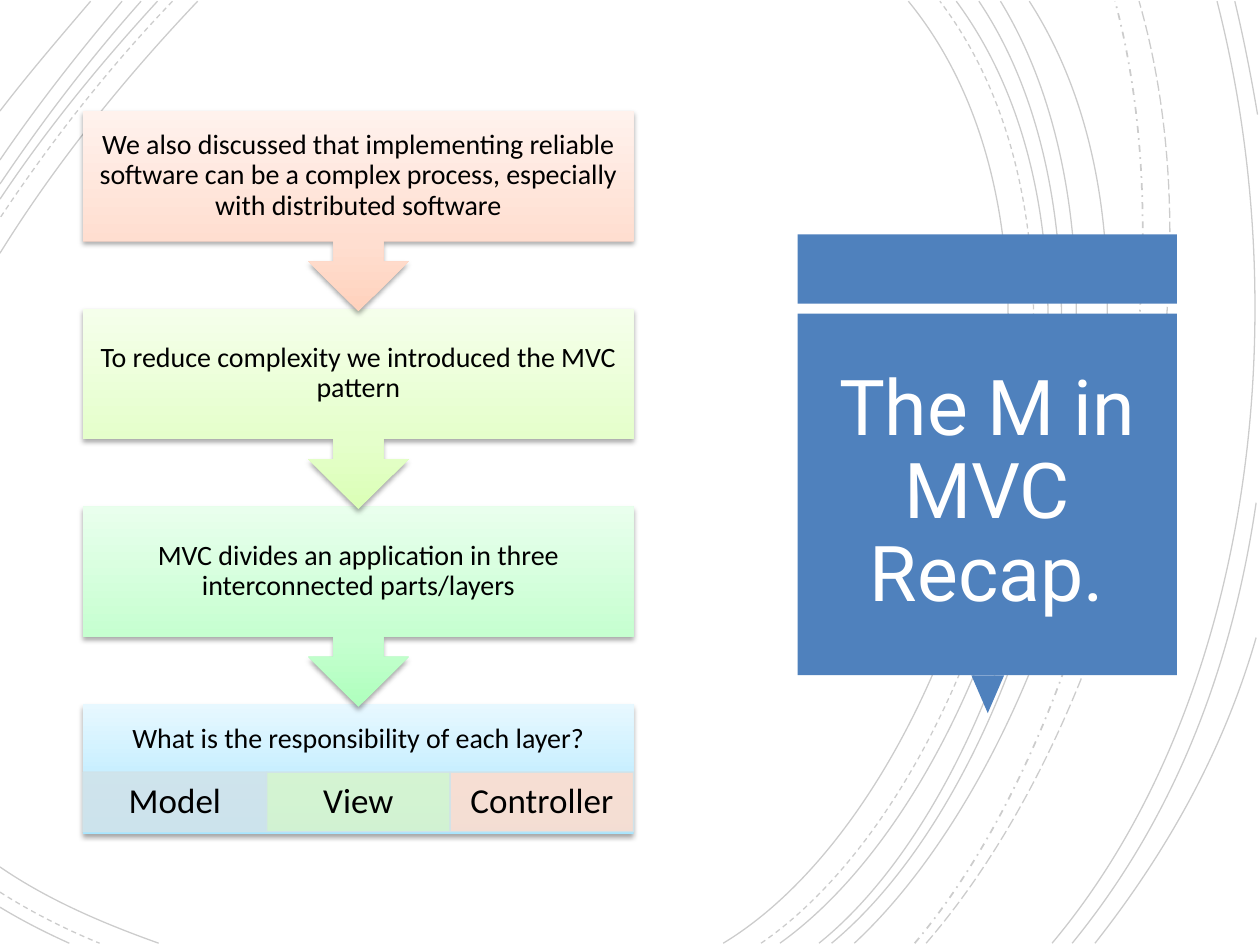
import lxml.etree
import pptx
import pptx.dml.color
import pptx.enum.dml
import pptx.enum.shapes
import pptx.enum.text
import pptx.oxml
import pptx.oxml.ns
import pptx.util

Pt = pptx.util.Pt
qn = pptx.oxml.ns.qn
SHAPE = pptx.enum.shapes.MSO_SHAPE
DASH = pptx.enum.dml.MSO_LINE
NAMESPACE = pptx.oxml.ns.nsdecls("a")

COLORS = {
    "black": "000000", "white": "FFFFFF", "banner": "4F81BD", "cell line": "D0E3EA",
    "model": "D0E3EA", "view": "D6F4CE", "controller": "FCDDCF",
}
GRADIENTS = {
    "orange": ("FFD2BD", "FFDED0", "FFF2ED"),
    "lime": ("DBFFB6", "E5FFCB", "F5FFEB"),
    "green": ("AFFFBD", "C6FFD0", "E9FFED"),
    "blue": ("A7E6FF", "C1EDFF", "E7F8FF"),
}

TOP, BOTTOM = 0.7, 539
# start x, first control point, second control point, end x, dash
RIGHT_ARCS = [
    (413.3, (548.6, 457.2), (641.5, 150.5), 519.1, DASH.SOLID),
    (434.9, (564.5, 450), (652.3, 152.6), 537.1, DASH.DASH),
    (445.7, (573.1, 447.8), (659.5, 153.4), 546.5, DASH.SOLID),
    (468, (586.8, 443.5), (659.5, 149.8), 559.4, DASH.SOLID),
    (475.2, (594, 440.6), (666, 155.5), 571.7, DASH.SOLID),
    (488.2, (601.2, 434.2), (689.8, 158.4), 588.2, DASH.SOLID),
    (522.7, (623.5, 419.8), (683.3, 173.5), 637.2, DASH.DASH_DOT),
    (529.2, (633.6, 418.3), (702.7, 180.7), 650.9, DASH.LONG_DASH),
    (601.2, (712.8, 406.1), (743, 186.5), 695.5, DASH.SOLID),
]
# start x, control points, end y on the left edge, dash
TOP_LEFT_ARCS = [
    (113, (72.7, 43.2), (33.1, 91.4), 144.7, DASH.SOLID),
    (98.6, (63.4, 37.4), (30.2, 79.2), 124.6, DASH.DASH),
    (90, (58.3, 35.3), (27.4, 72.7), 113.8, DASH.SOLID),
    (80.6, (51.8, 33.1), (25.2, 67.7), 105.1, DASH.SOLID),
    (69.8, (45.4, 29.5), (21.6, 59.8), 91.4, DASH.SOLID),
    (51.8, (34.6, 20.9), (16.6, 41.8), 63.4, DASH.SOLID),
]
# start y on the left edge, control points, end x, dash
BOTTOM_LEFT_ARCS = [
    (495.4, (28.1, 514.8), (61.2, 528.5), 90.7, DASH.SOLID),
    (509.8, (18, 521.3), (38.2, 531.4), 56.9, DASH.DASH),
    (518.4, (13, 526.3), (25.9, 532.8), 39.6, DASH.SOLID),
]
RIGHT_EDGE_ARCS = [
    ((612.7, BOTTOM), (668.9, 470.2), (703.4, 385.9), (717.8, 287.3)),
    ((718.6, 65.5), (715, 43.9), (710.6, 21.6), (705.6, TOP)),
    ((625.7, BOTTOM), (664.6, 489.6), (698.4, 432), (717.8, 364.3)),
]

STEPS = [
    ("We also discussed that implementing reliable software can be a complex process, "
     "especially with distributed software", "orange"),
    ("To reduce complexity we introduced the MVC pattern", "lime"),
    ("MVC divides an application in three interconnected parts/layers", "green"),
]
LAYERS = ["Model", "View", "Controller"]


def rgb(name):
    return pptx.dml.color.RGBColor.from_string(COLORS[name])


def set_opacity(fill, percent):
    color = fill.fore_color._xFill.find(qn("a:srgbClr"))
    lxml.etree.SubElement(color, qn("a:alpha")).set("val", str(percent * 1000))


def write_text(frame, text, size=16, font="Calibri", color="black", insets=(8.6, 8.6)):
    """Fill a frame with one centred paragraph; insets are (sides, top and bottom)."""
    frame.word_wrap = True
    frame.vertical_anchor = pptx.enum.text.MSO_ANCHOR.MIDDLE
    frame.margin_left = frame.margin_right = Pt(insets[0])
    frame.margin_top = frame.margin_bottom = Pt(insets[1])
    paragraph = frame.paragraphs[0]
    paragraph.alignment = pptx.enum.text.PP_ALIGN.CENTER
    paragraph.line_spacing = 0.9
    run = paragraph.add_run()
    run.text = text
    run.font.size, run.font.name = Pt(size), font
    run.font.color.rgb = rgb(color)


class SlideBuilder:
    def __init__(self, slide):
        self.shapes = slide.shapes

    def arc(self, start, control_1, control_2, end, dash=DASH.SOLID):
        """Draw one faint cubic curve."""
        points = [(Pt(x), Pt(y)) for x, y in (control_1, control_2, end)]
        builder = self.shapes.build_freeform(Pt(start[0]), Pt(start[1]))
        curve = builder.add_line_segments(points, close=False).convert_to_shape()
        segments = list(curve._element.iter(qn("a:lnTo")))
        bezier = lxml.etree.SubElement(segments[0].getparent(), qn("a:cubicBezTo"))
        for segment in segments:
            bezier.append(segment[0])
            segment.getparent().remove(segment)
        curve.shadow.inherit = False
        curve.fill.background()
        curve.line.fill.solid()
        curve.line.fill.fore_color.rgb = rgb("black")
        set_opacity(curve.line.fill, 20)
        curve.line.width = Pt(1 if dash == DASH.DASH_DOT else 0.75)
        curve.line.dash_style = dash

    def preset(self, kind, left, top, width, height, rotation=0):
        shape = self.shapes.add_shape(kind, Pt(left), Pt(top), Pt(width), Pt(height))
        shape.rotation = rotation
        shape.shadow.inherit = False
        shape.line.fill.background()
        return shape

    def solid(self, kind, *place, color="banner", rotation=0):
        shape = self.preset(kind, *place, rotation=rotation)
        shape.fill.solid()
        shape.fill.fore_color.rgb = rgb(color)
        return shape

    def cell(self, *place, color):
        cell = self.solid(SHAPE.RECTANGLE, *place, color=color)
        set_opacity(cell.fill, 90)
        cell.line.fill.solid()
        cell.line.fill.fore_color.rgb = rgb("cell line")
        set_opacity(cell.line.fill, 90)
        cell.line.width = Pt(0.75)

    def shaded(self, kind, *place, gradient, rotation=0):
        """Add a shape that is dark at the foot, with a soft shadow below."""
        shape = self.preset(kind, *place, rotation=rotation)
        stops = "".join(
            f'<a:gs pos="{position}"><a:srgbClr val="{color}"/></a:gs>'
            for position, color in zip((0, 35000, 100000), GRADIENTS[gradient]))
        properties = shape._element.spPr
        properties.find(qn("a:prstGeom")).addnext(pptx.oxml.parse_xml(
            f'<a:gradFill {NAMESPACE} rotWithShape="0"><a:gsLst>{stops}</a:gsLst>'
            '<a:lin ang="16200000" scaled="0"/></a:gradFill>'))
        properties.find(qn("a:effectLst")).append(pptx.oxml.parse_xml(
            f'<a:outerShdw {NAMESPACE} blurRad="{Pt(3)}" dist="{Pt(1.8)}" dir="5400000" '
            'rotWithShape="0"><a:srgbClr val="000000"><a:alpha val="35000"/></a:srgbClr>'
            '</a:outerShdw>'))

    def text(self, left, top, width, height, text, **style):
        box = self.shapes.add_textbox(Pt(left), Pt(top), Pt(width), Pt(height))
        write_text(box.text_frame, text, **style)


def draw_background(builder):
    for x, control_1, control_2, end_x, dash in RIGHT_ARCS:
        builder.arc((x, BOTTOM), control_1, control_2, (end_x, TOP), dash)
    for x, control_1, control_2, end_y, dash in TOP_LEFT_ARCS:
        builder.arc((x, TOP), control_1, control_2, (0, end_y), dash)
    for y, control_1, control_2, end_x, dash in BOTTOM_LEFT_ARCS:
        builder.arc((0, y), control_1, control_2, (end_x, BOTTOM), dash)
    for points in RIGHT_EDGE_ARCS:
        builder.arc(*points)


def draw_banner(builder):
    left, width = 455.8, 216.7
    builder.solid(SHAPE.RECTANGLE, left, 133.9, width, 39.6)
    builder.solid(SHAPE.ISOSCELES_TRIANGLE, 555.1, 385.9, 18.7, 21.6, rotation=180)
    builder.solid(SHAPE.RECTANGLE, left, 179.3, width, 206.6)
    builder.text(460.8, 185, 206.6, 193.7, "The M in MVC Recap.",
                 size=44, font="Roboto", color="white", insets=(7.2, 3.6))


def draw_process(builder):
    left, top, width, pitch = 47.5, 63.4, 314.6, 113
    body_height, callout_height = 74.2, 114.5
    last_top = top + len(STEPS) * pitch
    builder.shaded(SHAPE.RECTANGLE, left, last_top, width, body_height, gradient="blue")
    builder.text(left, last_top, width, 40.1, "What is the responsibility of each layer?")

    cell_width = width / len(LAYERS)
    for index, layer in enumerate(LAYERS):
        place = (left + index * cell_width, 441.2, cell_width, 34.1)
        builder.cell(*place, color=layer.lower())
        builder.text(*place, layer, size=20, insets=(11.5, 2))

    for index, (step, gradient) in reversed(list(enumerate(STEPS))):
        step_top = top + index * pitch
        builder.shaded(SHAPE.UP_ARROW_CALLOUT, left, step_top, width, callout_height,
                       gradient=gradient, rotation=180)
        builder.text(left, step_top, width, body_height, step)


def main():
    deck = pptx.Presentation()
    deck.slide_width, deck.slide_height = Pt(720), Pt(540)
    builder = SlideBuilder(deck.slides.add_slide(deck.slide_layouts[6]))
    draw_background(builder)
    draw_banner(builder)
    draw_process(builder)
    deck.save("out.pptx")


if __name__ == "__main__":
    main()
